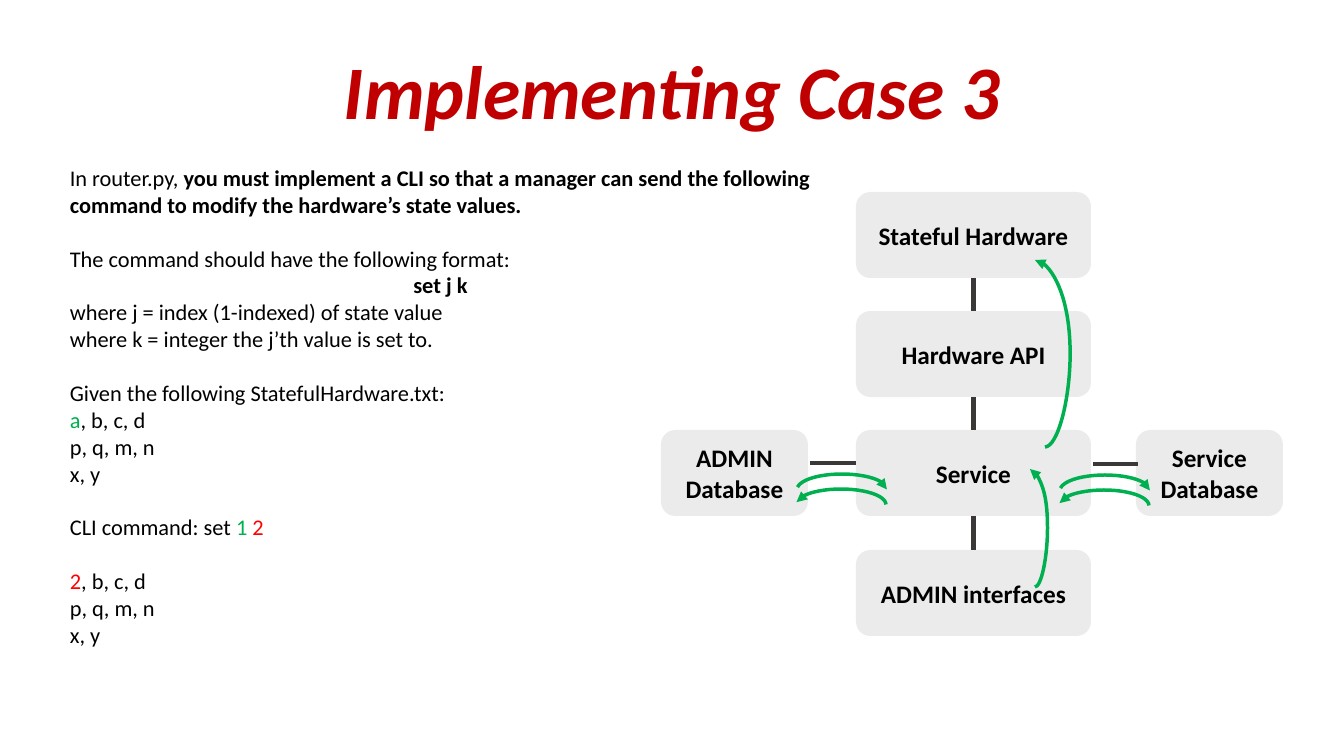
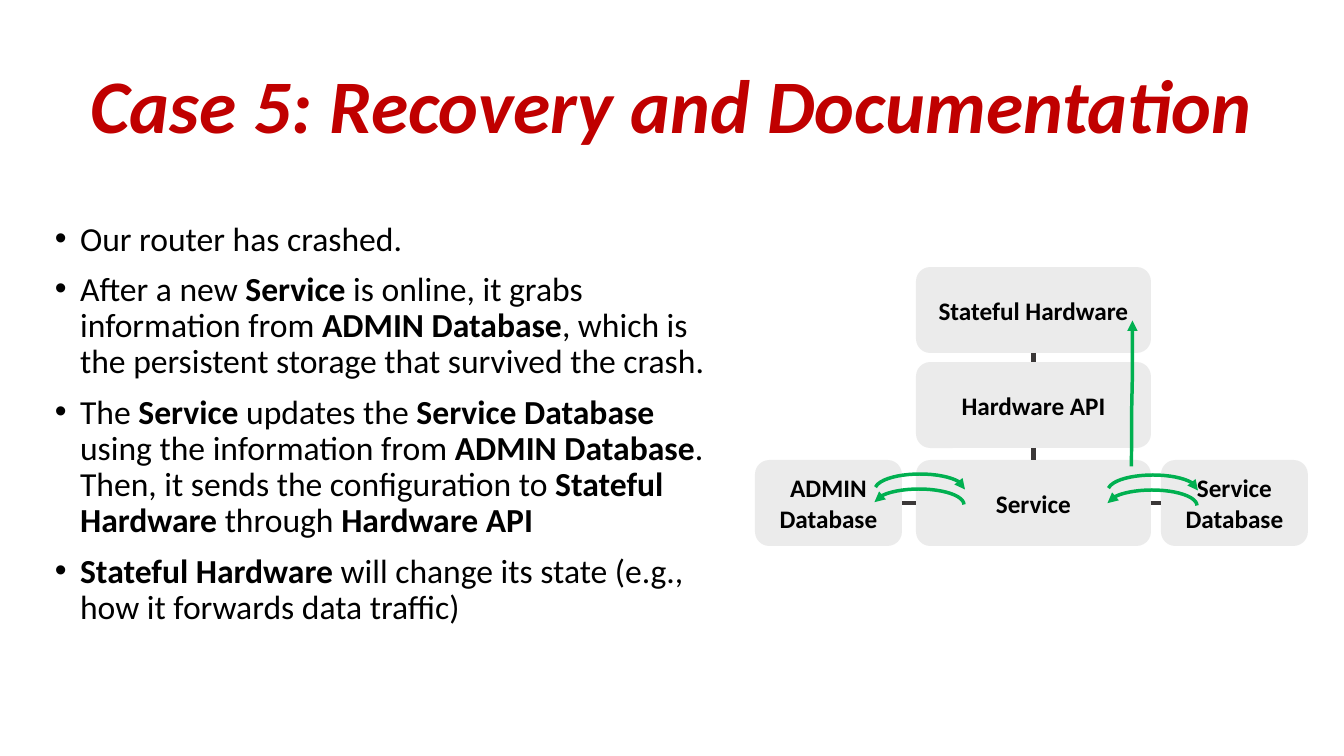
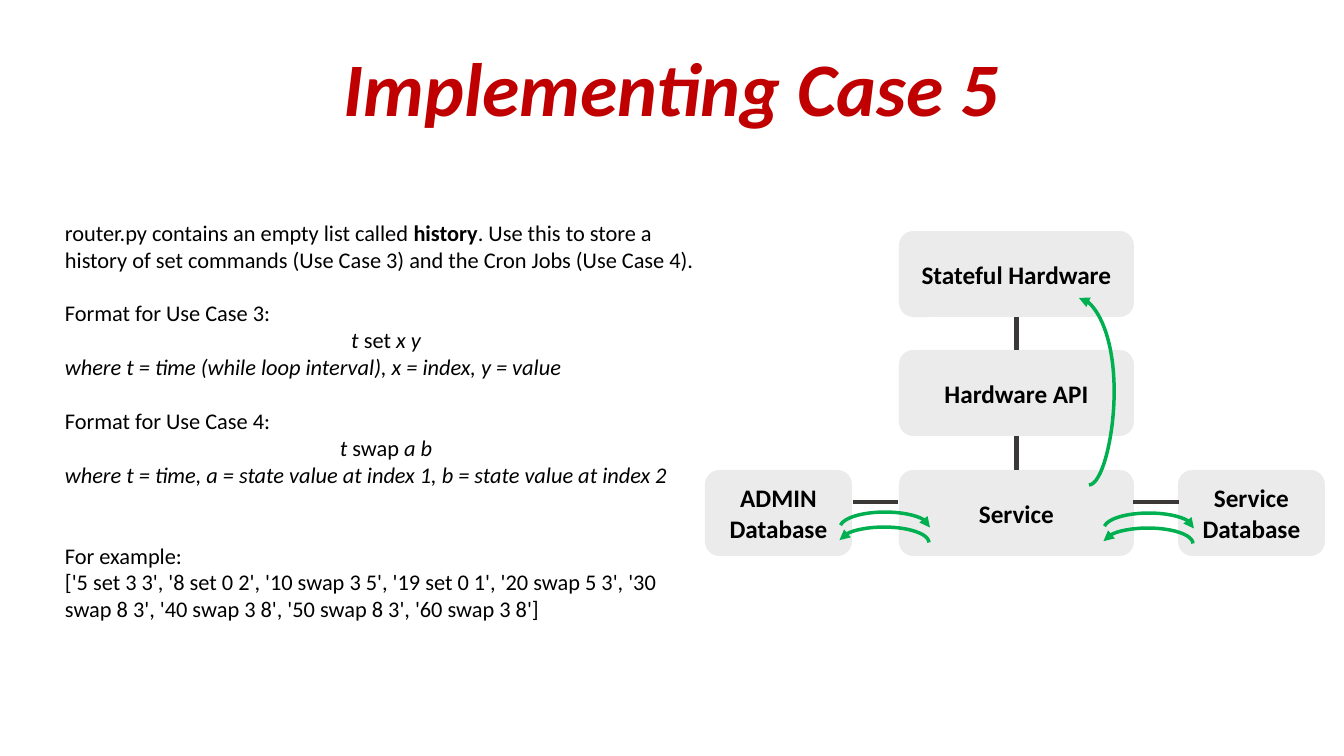
"""Build three slides on router use cases, each with a service diagram."""
from lxml.etree import SubElement
from pptx import Presentation
from pptx.dml.color import RGBColor
from pptx.enum.shapes import MSO_CONNECTOR as LINK, MSO_SHAPE as SHAPE
from pptx.enum.text import MSO_ANCHOR as ANCHOR, PP_ALIGN as ALIGN
from pptx.oxml.ns import qn
from pptx.util import Emu, Pt

PX = 914400 / 100.8
FONT = "Calibri"
COLOURS = {"black": "000000", "title": "C00000", "box": "D9D9D9", "link": "3B3838",
           "green": "00B050", "red": "FF0000"}
BLANK_LINE = 19.25
BOLD, ITALIC = {"bold": True}, {"italic": True}
GREEN, RED = {"colour": "green"}, {"colour": "red"}
CENTRE, GAP = {"align": ALIGN.CENTER}, {"before": BLANK_LINE}
BULLET = {"size": 24, "spacing": 0.9, "bullet": True}
NEXT_BULLET = {**BULLET, "before": 10}
BOX_HEIGHT, WIDE, NARROW = 86, 235, 147
ARC_WIDTH, ARC_HEIGHT = 90, 31


def write(frame, text, size=16, colour="black", bold=False, italic=False,
          align=None, before=0, spacing=None, bullet=False):
    """Add a paragraph; text is a string or a list of strings and (string, format) pairs."""
    para = frame.paragraphs[0]
    if para.runs:
        para = frame.add_paragraph()
    if bullet:
        properties = para._p.get_or_add_pPr()
        properties.set("marL", "228600")
        properties.set("indent", "-228600")
        SubElement(properties, qn("a:buFont")).set("typeface", "Arial")
        SubElement(properties, qn("a:buChar")).set("char", "•")
    para.alignment = align
    if before:
        para.space_before = Pt(before)
    if spacing:
        para.line_spacing = spacing
    for part in [text] if isinstance(text, str) else text:
        words, style = (part, {}) if isinstance(part, str) else part
        span = para.add_run()
        span.text = words
        font = span.font
        font.name, font.size = FONT, Pt(size)
        font.bold = style.get("bold", bold)
        font.italic = style.get("italic", italic)
        font.color.rgb = RGBColor.from_string(COLOURS[style.get("colour", colour)])


def stroke(shape, colour, width, arrow=None):
    """Set the line of a shape or connector, without shadow, with an optional arrowhead."""
    shape.line.color.rgb = RGBColor.from_string(COLOURS[colour])
    shape.line.width = Pt(width)
    properties = shape._element.spPr
    if arrow:
        SubElement(properties.find(qn("a:ln")), qn(f"a:{arrow}")).set("type", "triangle")
    SubElement(properties, qn("a:effectLst"))


pages = [
    {
        "title": "Implementing Case 3", "title_at": (60, 22, 1224, 146),
        "body_at": (60, 159, 761, 499),
        "body": [
            (["In router.py, ", ("you must implement a CLI so that a manager can send the "
                                 "following command to modify the hardware’s state values.", BOLD)], {}),
            ("The command should have the following format:", GAP),
            ("set j k", {**CENTRE, **BOLD}),
            ("where j = index (1-indexed) of state value", {}),
            ("where k = integer the j’th value is set to.", {}),
            ("Given the following StatefulHardware.txt:", GAP),
            ([("a", GREEN), ", b, c, d"], {}),
            ("p, q, m, n", {}),
            ("x, y", {}),
            (["CLI command: set ", ("1 ", GREEN), ("2", RED)], GAP),
            ([("2", RED), ", b, c, d"], GAP),
            ("p, q, m, n", {}),
            ("x, y", {}),
        ],
        "stack_left": 856, "stack_tops": [192, 311, 430, 550],
        "admin_left": 661, "database_left": 1136,
        "side_links": [(810, 856, 463), (1093, 1138, 464)],
        "curves": [(1035, 260, 10, 187, 352000, 0), (1030, 469, 5, 118, 352000, 0)],
        "arcs": [(797, 474), (1060, 475)],
    },
    {
        "title": "Case 5: Recovery and Documentation", "title_at": (61, 36, 1221, 146),
        "body_at": (45, 217, 699, 480),
        "body": [
            ("Our router has crashed.", BULLET),
            (["After a new ", ("Service ", BOLD), "is online, it grabs information from ",
              ("ADMIN Database", BOLD),
              ", which is the persistent storage that survived the crash."], NEXT_BULLET),
            (["The ", ("Service ", BOLD), "updates the ", ("Service Database ", BOLD),
              "using the information from ", ("ADMIN Database", BOLD),
              ". Then, it sends the configuration to ", ("Stateful Hardware ", BOLD),
              "through ", ("Hardware API", BOLD)], NEXT_BULLET),
            ([("Stateful Hardware ", BOLD),
              "will change its state (e.g., how it forwards data traffic)"], NEXT_BULLET),
        ],
        "stack_left": 916, "stack_tops": [267, 362, 460],
        "admin_left": 755, "database_left": 1161,
        "side_links": [],
        "curves": [(1059, 393, 146, 1, 50000, 90)],
        "arcs": [(875, 474), (1108, 475)],
    },
    {
        "title": "Implementing Case 5", "title_at": (55, 19, 1233, 146),
        "body_at": (55, 214, 662, 417),
        "body": [
            (["router.py contains an empty list called ", ("history", BOLD),
              ". Use this to store a history of set commands (Use Case 3) "
              "and the Cron Jobs (Use Case 4)."], {}),
            ("Format for Use Case 3:", GAP),
            ([("t", ITALIC), " set ", ("x y", ITALIC)], CENTRE),
            ("where t = time (while loop interval), x = index, y = value", ITALIC),
            ("Format for Use Case 4:", GAP),
            ([("t", ITALIC), " swap", (" a b", ITALIC)], CENTRE),
            ("where t = time, a = state value at index 1, b = state value at index 2", ITALIC),
            ("For example:", {"before": 2 * BLANK_LINE}),
            ("['5 set 3 3', '8 set 0 2', '10 swap 3 5', '19 set 0 1', '20 swap 5 3', "
             "'30 swap 8 3', '40 swap 3 8', '50 swap 8 3', '60 swap 3 8']", {}),
        ],
        "stack_left": 899, "stack_tops": [231, 350, 470],
        "admin_left": 705, "database_left": 1178,
        "side_links": [(853, 898, 502), (1133, 1179, 502)],
        "curves": [(1079, 298, 10, 187, 352000, 0)],
        "arcs": [(840, 512), (1104, 513)],
    },
]

deck = Presentation()
deck.slide_width, deck.slide_height = Emu(round(1344 * PX)), Emu(round(756 * PX))

for content in pages:
    page = deck.slides.add_slide(deck.slide_layouts[6])
    shapes = page.shapes

    title = shapes.add_textbox(*[round(n * PX) for n in content["title_at"]]).text_frame
    title.word_wrap, title.vertical_anchor = True, ANCHOR.MIDDLE
    write(title, content["title"], size=54, colour="title", bold=True, italic=True,
          spacing=0.9, **CENTRE)

    body = shapes.add_textbox(*[round(n * PX) for n in content["body_at"]]).text_frame
    body.word_wrap = True
    for text, style in content["body"]:
        write(body, text, **style)

    names = ["Stateful Hardware", "Hardware API", "Service", "ADMIN interfaces"]
    tops = content["stack_tops"]
    places = [(name, content["stack_left"], top, WIDE) for name, top in zip(names, tops)]
    places += [("ADMIN Database", content["admin_left"], tops[2], NARROW),
               ("Service Database", content["database_left"], tops[2], NARROW)]
    boxes = {}
    for name, left, top, width in places:
        box = shapes.add_shape(SHAPE.ROUNDED_RECTANGLE,
                               *[round(n * PX) for n in (left, top, width, BOX_HEIGHT)])
        box.shadow.inherit = False
        box.line.fill.background()
        box.fill.solid()
        box.fill.fore_color.rgb = RGBColor.from_string(COLOURS["box"])
        tint = box._element.spPr.find(qn("a:solidFill")).find(qn("a:srgbClr"))
        SubElement(tint, qn("a:alpha")).set("val", "50000")
        box.text_frame.word_wrap = True
        box.text_frame.vertical_anchor = ANCHOR.MIDDLE
        write(box.text_frame, name, size=18, bold=True, **CENTRE)
        boxes[name] = box

    stack = names[:len(tops)]
    joins = [(upper, 2, lower, 0) for upper, lower in zip(stack, stack[1:])]
    if not content["side_links"]:
        joins += [("ADMIN Database", 3, "Service", 1), ("Service", 3, "Service Database", 1)]
    for start, start_side, end, end_side in joins:
        link = shapes.add_connector(LINK.STRAIGHT, 0, 0, 0, 0)
        link.begin_connect(boxes[start], start_side)
        link.end_connect(boxes[end], end_side)
        stroke(link, "link", 3)
    for left, right, y in content["side_links"]:
        link = shapes.add_connector(LINK.STRAIGHT, *[round(n * PX) for n in (left, y, right, y)])
        stroke(link, "link", 3)

    for left, top, width, height, bend, turn in content["curves"]:
        corners = (left, top, left + width, top + height)
        curve = shapes.add_connector(LINK.CURVE, *[round(n * PX) for n in corners])
        properties = curve._element.spPr
        properties.find(qn("a:xfrm")).set("rot", str(turn * 60000))
        guide = SubElement(properties.find(qn("a:prstGeom")).find(qn("a:avLst")), qn("a:gd"))
        guide.set("name", "adj1")
        guide.set("fmla", f"val {bend}")
        stroke(curve, "green", 2.5, "headEnd")

    for left, top in content["arcs"]:
        for x, y, arrow in ((left, top, "tailEnd"), (left - 1, top + 15, "headEnd")):
            arc = shapes.add_shape(SHAPE.ARC,
                                   *[round(n * PX) for n in (x, y, ARC_WIDTH, ARC_HEIGHT)])
            arc.adjustments[0], arc.adjustments[1] = 109.82, 0
            arc.fill.background()
            stroke(arc, "green", 2.5, arrow)

deck.save("out.pptx")
